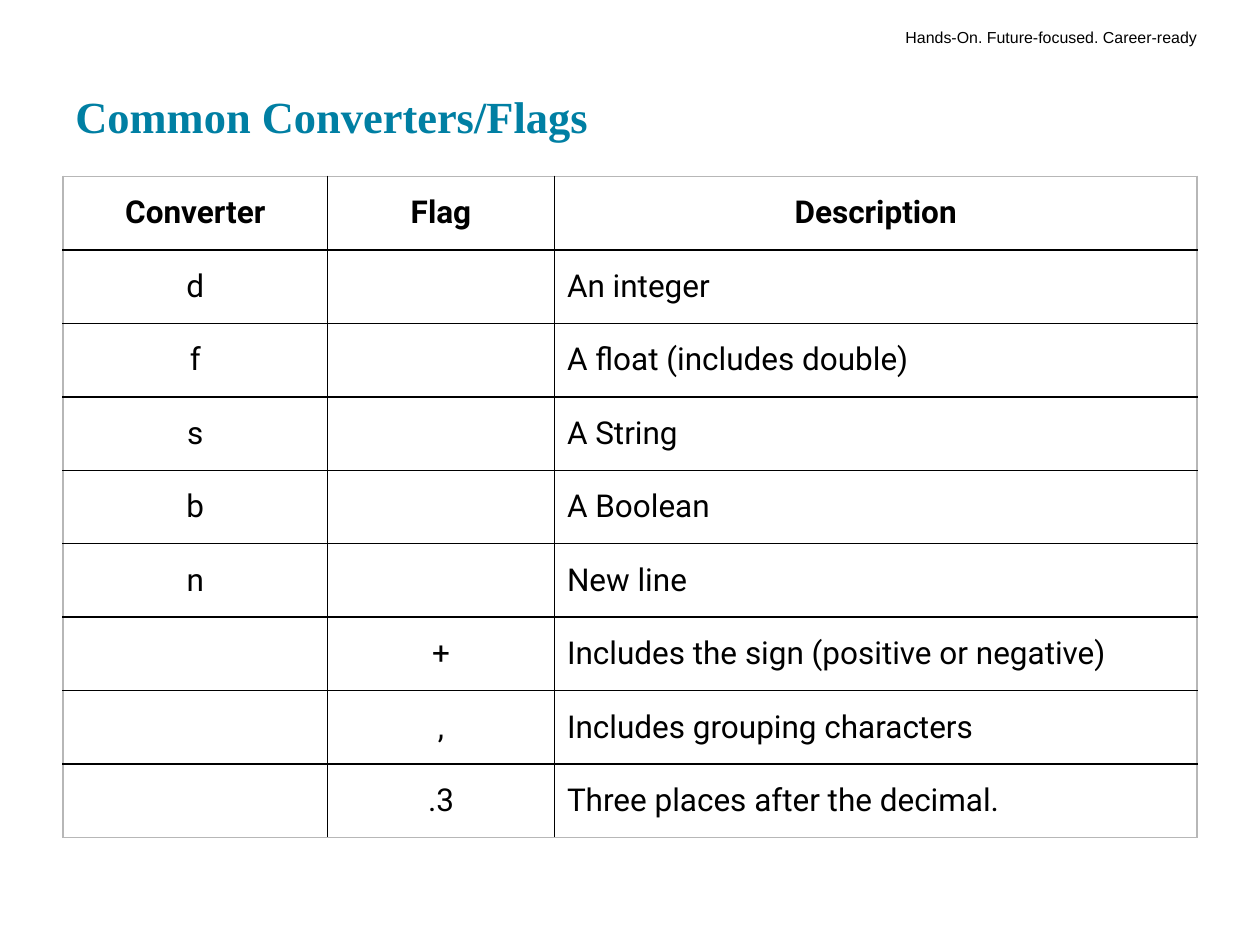
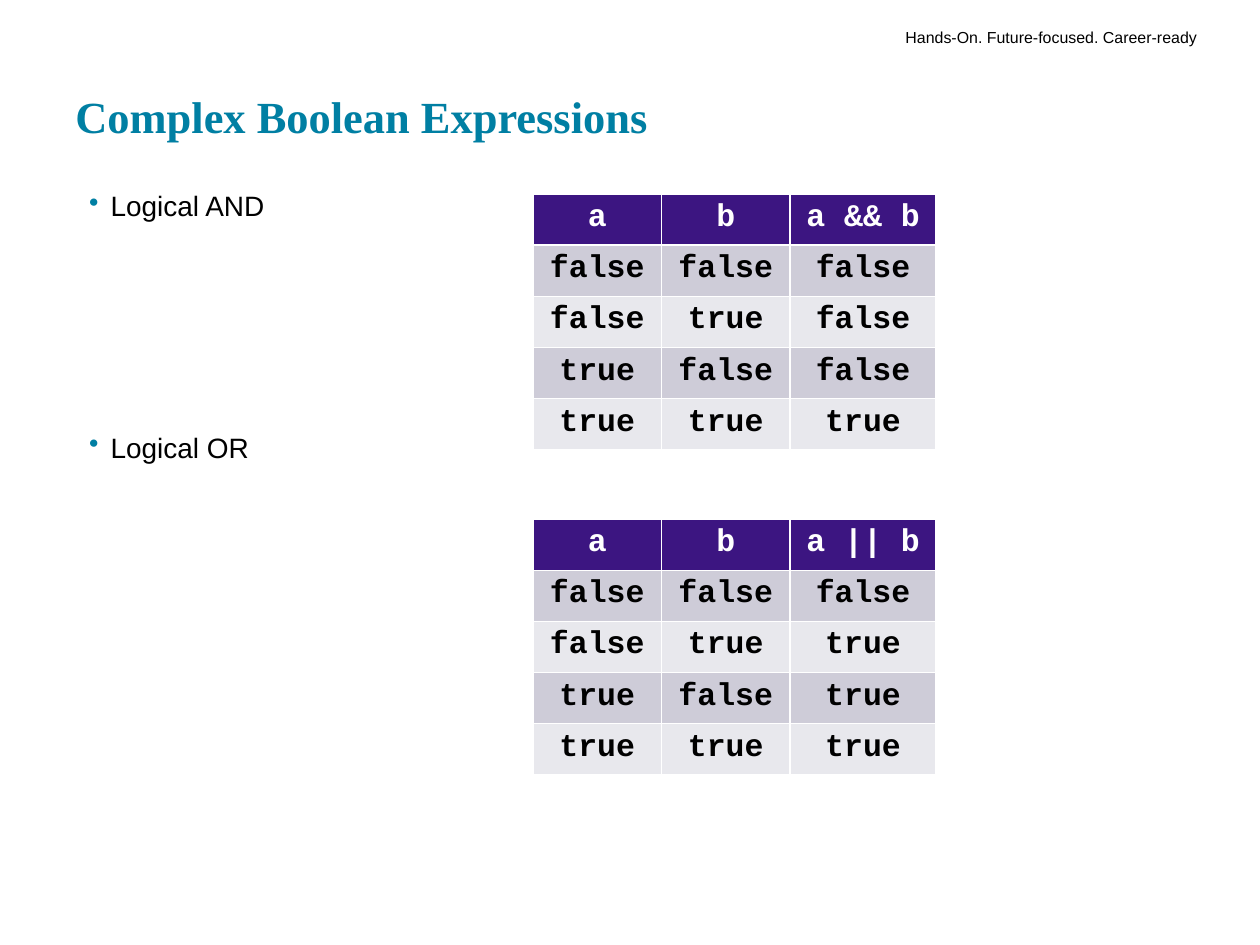
from lxml import etree
from pptx import Presentation
from pptx.dml.color import RGBColor
from pptx.enum.text import MSO_ANCHOR, PP_ALIGN
from pptx.oxml.ns import qn
from pptx.util import Inches, Pt

TOP, MIDDLE, BOTTOM = MSO_ANCHOR.TOP, MSO_ANCHOR.MIDDLE, MSO_ANCHOR.BOTTOM
LEFT, CENTER, RIGHT = PP_ALIGN.LEFT, PP_ALIGN.CENTER, PP_ALIGN.RIGHT

BLACK, WHITE, TEAL = "000000", "FFFFFF", "007FA3"
PURPLE, LILAC, PALE, GREY = "3C1581", "CECCD8", "E8E8ED", "B7B7B7"
SANS, SERIF, MONO, GRID = "Arial", "Times New Roman", "Courier New", "Roboto"

FLAGS = [
    ("Converter", "Flag", "Description"),
    ("d", "", "An integer"),
    ("f", "", "A float (includes double)"),
    ("s", "", "A String"),
    ("b", "", "A Boolean"),
    ("n", "", "New line"),
    ("", "+", "Includes the sign (positive or negative)"),
    ("", ",", "Includes grouping characters"),
    ("", ".3", "Three places after the decimal."),
]


def paint(text):
    return RGBColor.from_string(text)


def add_color(parent, color):
    fill = etree.SubElement(parent, qn("a:solidFill"))
    etree.SubElement(fill, qn("a:srgbClr"), val=color)


class Deck:
    def __init__(self):
        self.show = Presentation()
        self.show.slide_width = Inches(10)
        self.show.slide_height = Inches(7.5)
        self.slide = None

    def start(self, title):
        self.slide = self.show.slides.add_slide(self.show.slide_layouts[6])
        tag = self.box(6.72, 0.17, 2.88, 0.25, 0.05)
        self.line(tag.paragraphs[0], "Hands-On. Future-focused. Career-ready",
                  SANS, 9.1, align=RIGHT)
        head = self.box(0.5, 0.57, 9, 0.66, 0.1, BOTTOM)
        self.line(head.paragraphs[0], title, SERIF, 25.4, TEAL, True)

    def box(self, left, top, width, height, inset, anchor=TOP):
        shape = self.slide.shapes.add_textbox(
            Inches(left), Inches(top), Inches(width), Inches(height))
        frame = shape.text_frame
        frame.word_wrap = True
        frame.vertical_anchor = anchor
        frame.margin_top = frame.margin_bottom = Inches(inset)
        return frame

    def line(self, para, text, font, size, color=BLACK, bold=False, align=LEFT):
        para.text = text
        para.alignment = align
        for run in para.runs:
            run.font.name = font
            run.font.size = Pt(size)
            run.font.bold = bold
            run.font.color.rgb = paint(color)

    def bullets(self, left, top, width, height, items, gap):
        frame = self.box(left, top, width, height, 0.1)
        for index, text in enumerate(items):
            para = frame.add_paragraph() if index else frame.paragraphs[0]
            self.line(para, text, SANS, 16)
            para.space_before = Pt(gap if index else 0)
            props = para._p.get_or_add_pPr()
            props.set("marL", str(Inches(0.28)))
            props.set("indent", str(Inches(-0.17)))
            tint = etree.SubElement(props, qn("a:buClr"))
            etree.SubElement(tint, qn("a:srgbClr"), val=TEAL)
            etree.SubElement(props, qn("a:buChar"), char="•")

    def edges(self, cell, colors):
        props = cell._tc.get_or_add_tcPr()
        for side, color in zip("LRTB", colors):
            edge = etree.SubElement(props, qn("a:ln" + side), w=str(Pt(1)))
            add_color(edge, color)

    def table(self, left, top, widths, height, rows, style):
        last, end = len(rows) - 1, len(widths) - 1
        table = self.slide.shapes.add_table(
            len(rows), len(widths), Inches(left), Inches(top),
            Inches(sum(widths)), Inches(height)).table
        table.first_row = table.horz_banding = False
        for col, width in zip(table.columns, widths):
            col.width = Inches(width)
        for r, texts in enumerate(rows):
            table.rows[r].height = Inches(height / len(rows))
            for c, text in enumerate(texts):
                rims = (c == 0, c == end, r == 0, r == last)
                style(table.cell(r, c), r, c, text, rims)

    def plain(self, cell, r, c, text, rims):
        self.edges(cell, [GREY if rim else BLACK for rim in rims])
        cell.fill.background()
        cell.vertical_anchor = MIDDLE
        align = LEFT if r and c == 2 else CENTER
        self.line(cell.text_frame.paragraphs[0], text, GRID, 18,
                  bold=r == 0, align=align)

    def banded(self, cell, r, c, text, rims):
        self.edges(cell, [WHITE] * len(rims))
        cell.fill.solid()
        shade = (LILAC if r % 2 else PALE) if r else PURPLE
        cell.fill.fore_color.rgb = paint(shade)
        self.line(cell.text_frame.paragraphs[0], text, MONO, 18,
                  BLACK if r else WHITE, True, CENTER)

    def truth(self, top, sign, test):
        rows = [("a", "b", f"a {sign} b")]
        for a in (False, True):
            for b in (False, True):
                rows.append([str(v).lower() for v in (a, b, test((a, b)))])
        self.table(4.23, top, (1.02, 1.02, 1.16), 2.03, rows, self.banded)


def main():
    deck = Deck()
    deck.start("Common Converters/Flags")
    deck.table(0.5, 1.4, (2.1, 1.8, 5.1), 5.25, FLAGS, deck.plain)

    deck.start("Complex Boolean Expressions")
    deck.bullets(0.5, 1.4, 9, 5.3, ("Logical AND", "Logical OR"), 118.7)
    deck.truth(1.54, "&&", all)
    deck.truth(4.12, "||", any)
    deck.show.save("out.pptx")


if __name__ == "__main__":
    main()
